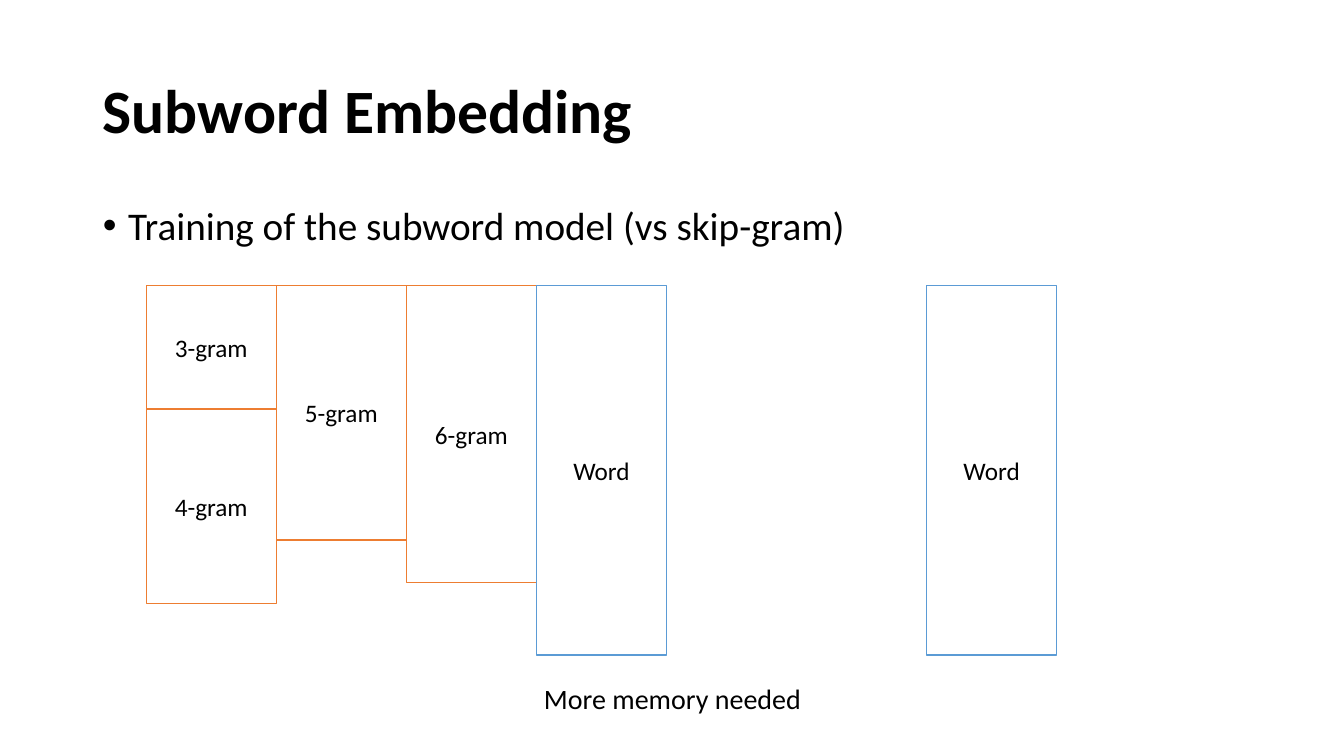
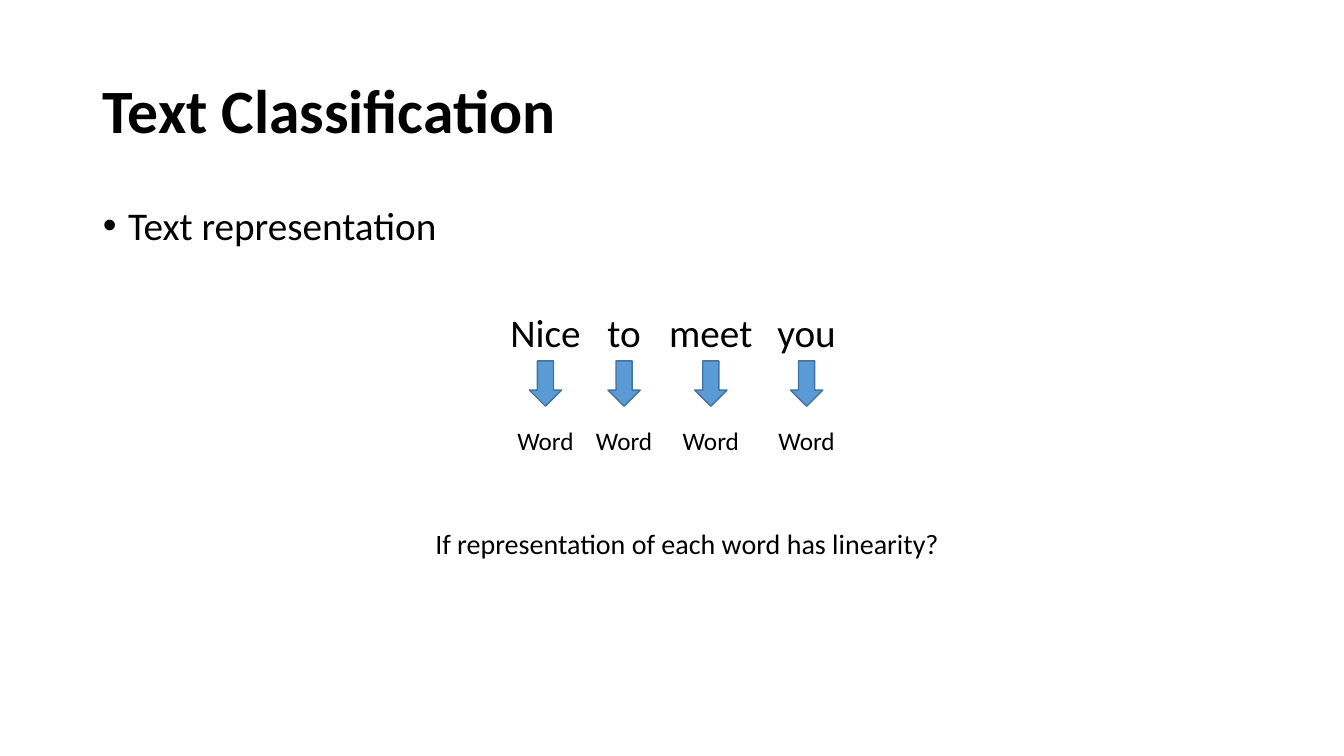
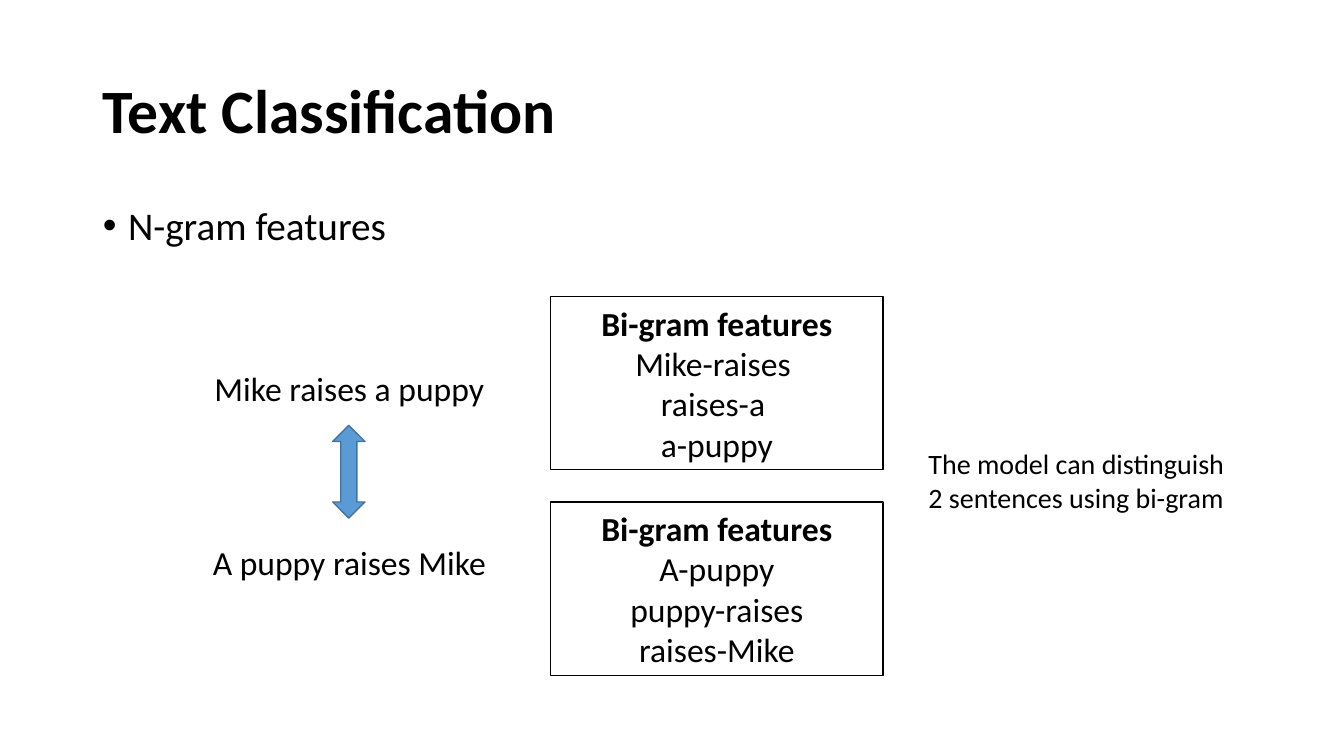
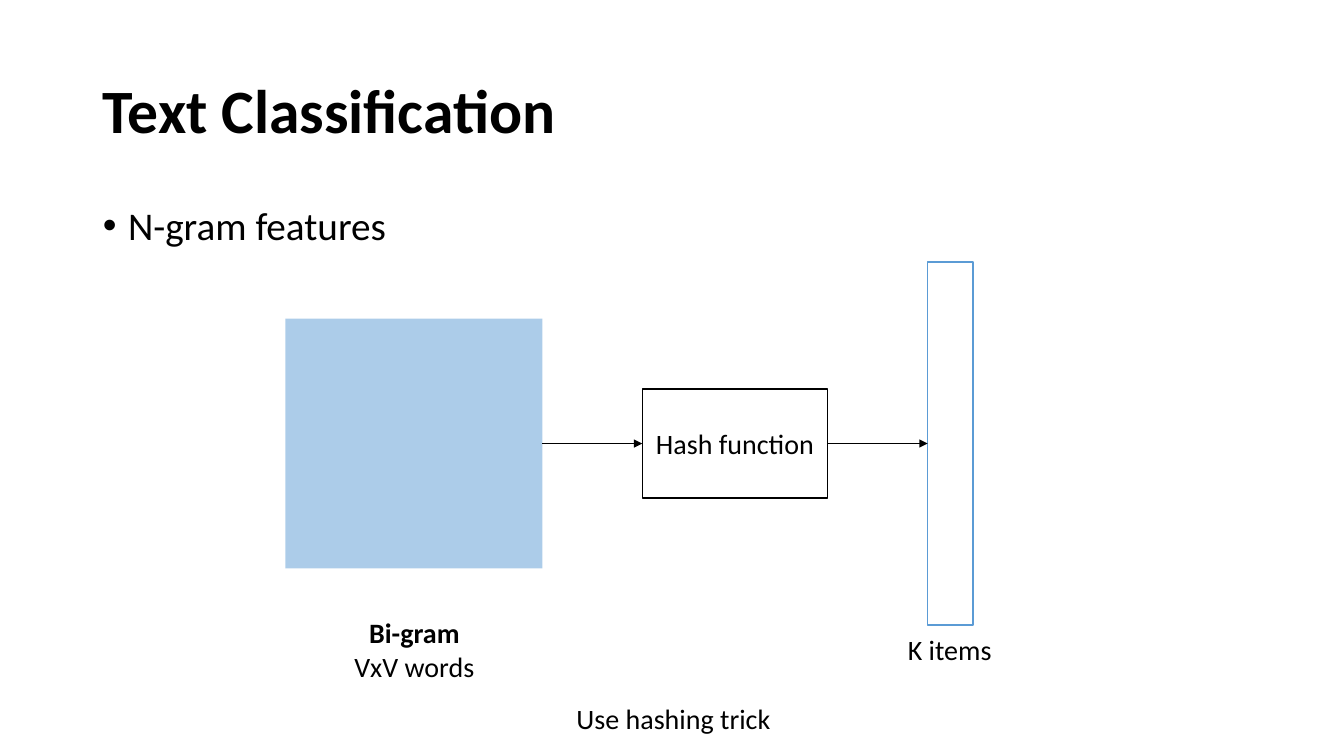
import pptx
import pptx.dml.color
import pptx.enum.shapes
import pptx.enum.text
import pptx.oxml
import pptx.oxml.ns
import pptx.util

Inches = pptx.util.Inches
Pt = pptx.util.Pt
SHAPE = pptx.enum.shapes.MSO_SHAPE
ALIGN = pptx.enum.text.PP_ALIGN
ANCHOR = pptx.enum.text.MSO_ANCHOR
FIT = pptx.enum.text.MSO_AUTO_SIZE

COLORS = {
    "text": "000000",
    "paper": "FFFFFF",
    "gram": "ED7D31",
    "word": "5B9BD5",
    "arrow_edge": "43739E",
}


class Deck:
    """Holds the shared style and the slide being built."""

    font = "Calibri"
    title_area = (0.92, 0.4, 11.5, 1.45)
    body_area = (0.92, 2, 11.5, 4.76)
    bullet_indent = 0.25

    def __init__(self):
        self.prs = pptx.Presentation()
        self.prs.slide_width = Inches(13.33)
        self.prs.slide_height = Inches(7.5)
        self.slide = None

    def color(self, name):
        return pptx.dml.color.RGBColor.from_string(COLORS[name])

    def add_lines(self, frame, lines, size, align=ALIGN.CENTER, bold_first=False):
        """Add one paragraph per line, optionally with a bold heading line."""
        frame.word_wrap = True
        for i, line in enumerate(lines):
            paragraph = frame.paragraphs[0] if i == 0 else frame.add_paragraph()
            paragraph.alignment = align
            run = paragraph.add_run()
            run.text = line
            run.font.name = self.font
            run.font.size = Pt(size)
            run.font.bold = bold_first and i == 0
            run.font.color.rgb = self.color("text")

    def fill_placeholder(self, holder, area, text, size, anchor, bold=False):
        holder.left, holder.top, holder.width, holder.height = map(Inches, area)
        frame = holder.text_frame
        self.add_lines(frame, [text], size, ALIGN.LEFT, bold)
        frame.auto_size = FIT.NONE
        frame.vertical_anchor = anchor
        frame.paragraphs[0].line_spacing = 0.9
        return frame.paragraphs[0]

    def new_slide(self, title, bullet):
        self.slide = self.prs.slides.add_slide(self.prs.slide_layouts[1])
        self.fill_placeholder(self.slide.shapes.title, self.title_area,
                              title, 44, ANCHOR.MIDDLE, bold=True)
        point = self.fill_placeholder(self.slide.placeholders[1], self.body_area,
                                      bullet, 28, ANCHOR.TOP)
        point.space_before = Pt(10)
        properties = point._p.get_or_add_pPr()
        properties.set("marL", str(Inches(self.bullet_indent)))
        properties.set("indent", str(-Inches(self.bullet_indent)))

    def label(self, area, lines, size=20, align=ALIGN.CENTER, bold_first=False):
        box = self.slide.shapes.add_textbox(*map(Inches, area))
        self.add_lines(box.text_frame, lines, size, align, bold_first)
        box.text_frame.auto_size = FIT.SHAPE_TO_FIT_TEXT

    def shape(self, kind, area, fill="paper", line=None, alpha=None):
        shape = self.slide.shapes.add_shape(kind, *map(Inches, area))
        shape.shadow.inherit = False
        shape.fill.solid()
        shape.fill.fore_color.rgb = self.color(fill)
        if alpha is not None:
            tint = shape.fill._xPr.find(".//" + pptx.oxml.ns.qn("a:srgbClr"))
            tint.append(pptx.oxml.parse_xml(
                f'<a:alpha {pptx.oxml.ns.nsdecls("a")} val="{alpha * 1000}"/>'))
        if line:
            shape.line.color.rgb = self.color(line)
            shape.line.width = Pt(1)
        else:
            shape.line.fill.background()
        return shape

    def box(self, area, line, lines=(), size=18, bold_first=False):
        box = self.shape(SHAPE.RECTANGLE, area, line=line)
        self.add_lines(box.text_frame, lines, size, bold_first=bold_first)
        box.text_frame.vertical_anchor = ANCHOR.MIDDLE
        return box

    def block_arrow(self, kind, area):
        self.shape(kind, area, "word", "arrow_edge")

    def link(self, source, target):
        """Arrow from the right side of source to the left side of target."""
        arrow = self.slide.shapes.add_connector(
            pptx.enum.shapes.MSO_CONNECTOR.STRAIGHT, 0, 0, 0, 0)
        arrow.begin_connect(source, 3)
        arrow.end_connect(target, 1)
        arrow.line.color.rgb = self.color("text")
        arrow.line.width = Pt(1)
        ns = pptx.oxml.ns.nsdecls("a")
        arrow.line._get_or_add_ln().append(
            pptx.oxml.parse_xml(f'<a:tailEnd {ns} type="triangle"/>'))
        arrow._element.spPr.append(pptx.oxml.parse_xml(f"<a:effectLst {ns}/>"))


def subword_memory(deck):
    deck.new_slide("Subword Embedding", "Training of the subword model (vs skip-gram)")
    deck.label((4.97, 6.71, 3.4, 0.44), ["More memory needed"])
    # Vector tables: name, column, offset from the top, height, line
    left, top, width = 1.45, 2.83, 1.29
    for name, column, offset, height, line in (
        ("3-gram", 0, 0, 1.23, "gram"),
        ("4-gram", 0, 1.23, 1.93, "gram"),
        ("5-gram", 1, 0, 2.53, "gram"),
        ("6-gram", 2, 0, 2.95, "gram"),
        ("Word", 3, 0, 3.67, "word"),
        ("Word", 6, 0, 3.67, "word"),
    ):
        deck.box((left + column * width, top + offset, width, height), line, [name])


def text_representation(deck):
    deck.new_slide("Text Classification", "Text representation")
    # Each word of the sentence points to its vector
    for word, center in (("Nice", 5.41), ("to", 6.19), ("meet", 7.05), ("you", 8)):
        deck.label((center - 0.6, 3.01, 1.2, 0.57), [word], 28)
        deck.block_arrow(SHAPE.DOWN_ARROW, (center - 0.16, 3.58, 0.32, 0.45))
        deck.label((center - 0.43, 4.17, 0.86, 0.4), ["Word"], 18)
    deck.label((4.21, 5.17, 5.21, 0.44),
               ["If representation of each word has linearity?"])


def bigram_features(deck):
    deck.new_slide("Text Classification", "N-gram features")
    # Sentences on the left, their bi-grams in boxes
    for sentence, sentence_top, box_top, bigrams in (
        ("Mike raises a puppy", 3.6, 2.94, ["Mike-raises ", "raises-a ", "a-puppy"]),
        ("A puppy raises Mike", 5.33, 4.98, ["A-puppy", "puppy-raises", "raises-Mike"]),
    ):
        deck.label((0.73, sentence_top, 5.47, 0.5), [sentence], 24)
        deck.box((5.46, box_top, 3.3, 1.72), "text",
                 ["Bi-gram features"] + bigrams, 24, bold_first=True)
    deck.block_arrow(SHAPE.UP_DOWN_ARROW, (3.3, 4.22, 0.32, 0.92))
    deck.label((9.11, 4.38, 3.97, 0.77),
               ["The model can distinguish", "2 sentences using bi-gram"],
               align=ALIGN.LEFT)


def hashing_trick(deck):
    deck.new_slide("Text Classification", "N-gram features")
    # Flow along one middle line
    middle = 4.4
    bigram_matrix = deck.shape(SHAPE.RECTANGLE, (2.83, middle - 1.24, 2.55, 2.48),
                               "word", alpha=50)
    hash_function = deck.box((6.37, middle - 0.54, 1.84, 1.08), "text",
                             ["Hash function"], 20)
    hash_table = deck.box((9.2, middle - 1.8, 0.45, 3.6), "word")
    deck.link(bigram_matrix, hash_function)
    deck.link(hash_function, hash_table)
    # Captions
    deck.label((3.09, 6.06, 2.04, 0.77), ["Bi-gram", "VxV words"], bold_first=True)
    deck.label((8.4, 6.23, 2.04, 0.44), ["K items"])
    deck.label((3.21, 6.91, 6.94, 0.44), ["Use hashing trick"])


def main():
    deck = Deck()
    for build in (subword_memory, text_representation, bigram_features, hashing_trick):
        build(deck)
    deck.prs.save("out.pptx")


if __name__ == "__main__":
    main()
